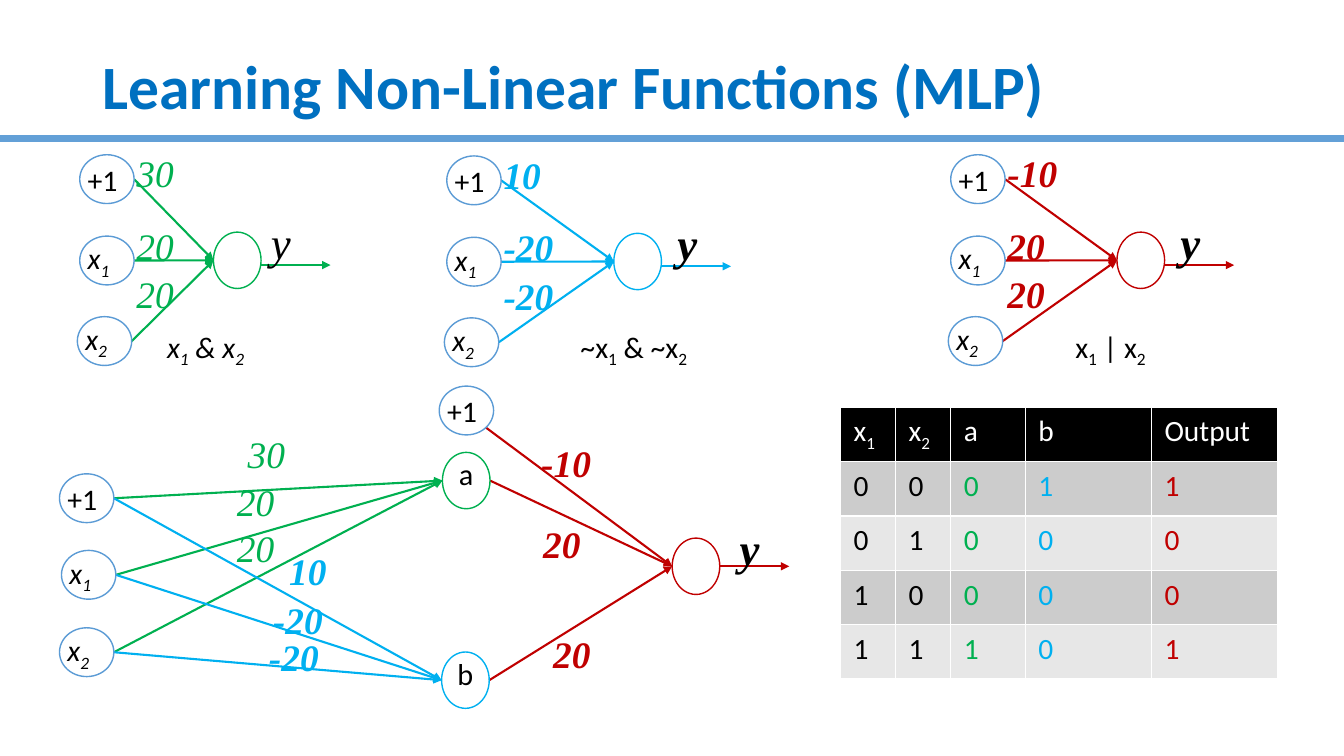
from dataclasses import dataclass
from typing import NamedTuple

from lxml.etree import SubElement
from pptx import Presentation
from pptx.dml.color import RGBColor
from pptx.enum.shapes import MSO_CONNECTOR, MSO_SHAPE
from pptx.enum.text import MSO_ANCHOR, MSO_AUTO_SIZE, PP_ALIGN
from pptx.oxml.ns import qn
from pptx.util import Cm, Pt

GREEN, BLUE, RED, BLACK = "00B050", "00B0F0", "C00000", "000000"
INPUT_LINE, RULE, WHITE = "5B9BD5", "63A0D7", "FFFFFF"
INPUT_LABELS = ("+1", "x_1", "x_2")


class Point(NamedTuple):
    x: float
    y: float


@dataclass
class Neuron:
    left: float
    top: float
    color: str = INPUT_LINE
    label: str = ""
    width: float = 1.2
    height: float = 1.42

    @property
    def entry(self) -> Point:
        return Point(self.left, self.top + self.height / 2)

    @property
    def exit(self) -> Point:
        return Point(self.left + self.width, self.top + self.height / 2)


@dataclass
class Input(Neuron):
    width: float = 1.37
    height: float = 1.23


@dataclass
class Gate:
    left: float
    top: float
    output_left: float
    color: str
    bold: bool
    weights: tuple[str, str, str]
    y_shift: float
    formula: str
    formula_left: float
    formula_italic: bool = False


class Weight(NamedTuple):
    value: str
    left: float
    top: float
    color: str
    bold: bool = True


GATES = (
    Gate(2.01, 3.9, 5.38, GREEN, False, ("30", "20", "20"), 1.2, "x_1 & x_2", 3.96, True),
    Gate(11.26, 3.93, 15.47, BLUE, True, ("10", "-20", "-20"), 1.35, "~x_1 & ~x_2", 14.38),
    Gate(23.96, 3.9, 28.15, RED, True, ("-10", "20", "20"), 1.35, "x_1 | x_2", 26.85),
)
NETWORK_WEIGHTS = (
    Weight("30", 5.99, 10.74, GREEN, False),
    Weight("20", 5.72, 11.94, GREEN, False),
    Weight("20", 5.72, 13.11, GREEN, False),
    Weight("10", 7.04, 13.69, BLUE),
    Weight("-20", 6.63, 14.91, BLUE),
    Weight("-20", 6.53, 15.85, BLUE),
    Weight("-10", 13.39, 10.97, RED),
    Weight("20", 13.44, 13, RED),
    Weight("20", 13.69, 15.77, RED),
)
TRUTH_TABLE = (
    ("x_1", "x_2", "a", "b", "Output"),
    ("0", "0", "0", "1", "1"),
    ("0", "1", "0", "0", "0"),
    ("1", "0", "0", "0", "0"),
    ("1", "1", "1", "0", "1"),
)
COLUMN_WIDTHS = (1.39, 1.39, 1.88, 3.18, 3.18)
COLUMN_COLORS = (BLACK, BLACK, GREEN, BLUE, RED)
ROW_HEIGHT = 1.37


def rgb(code: str) -> RGBColor:
    return RGBColor.from_string(code)


def write(paragraph, text: str, size: float, color: str = BLACK, font: str = "Calibri",
          bold: bool = False, italic: bool = False, baseline: int = 0) -> None:
    plain, *subscripted = text.split("_")
    pieces = [(plain, baseline)]
    for piece in subscripted:
        pieces += [(piece[0], -25000), (piece[1:], baseline)]
    for words, shift in pieces:
        if not words:
            continue
        run = paragraph.add_run()
        run.text = words
        run.font.name, run.font.size = font, Pt(size)
        run.font.bold, run.font.italic = bold, italic
        run.font.color.rgb = rgb(color)
        if shift:
            run._r.get_or_add_rPr().set("baseline", str(shift))


def draw_line(start: Point, end: Point, color: str, width: float = 1.5,
              arrow: bool = True) -> None:
    line = slide.shapes.add_connector(MSO_CONNECTOR.STRAIGHT, *map(Cm, (*start, *end)))
    line.line.color.rgb = rgb(color)
    line.line.width = Pt(width)
    if arrow:
        SubElement(line.line._get_or_add_ln(), qn("a:tailEnd"), type="triangle")
    SubElement(line._element.spPr, qn("a:effectLst"))


def draw_neuron(neuron: Neuron) -> None:
    oval = slide.shapes.add_shape(MSO_SHAPE.OVAL, Cm(neuron.left), Cm(neuron.top),
                                  Cm(neuron.width), Cm(neuron.height))
    oval.shadow.inherit = False
    oval.line.color.rgb = rgb(neuron.color)
    oval.line.width = Pt(1)
    is_input = isinstance(neuron, Input)
    if is_input:
        oval.fill.solid()
        oval.fill.fore_color.rgb = rgb(WHITE)
    else:
        oval.fill.background()
    if not neuron.label:
        return
    frame = oval.text_frame
    frame.vertical_anchor = MSO_ANCHOR.MIDDLE
    frame.margin_left = frame.margin_right = 0
    frame.margin_top = frame.margin_bottom = Cm(0.13)
    paragraph = frame.paragraphs[0]
    if is_input:
        paragraph.alignment = PP_ALIGN.LEFT
        write(paragraph, neuron.label, 21.3, italic="_" in neuron.label)
    else:
        paragraph.alignment = PP_ALIGN.CENTER
        write(paragraph, neuron.label, 37.3, baseline=30000)


def draw_label(text: str, left: float, top: float, width: float, height: float,
               size: float, **style) -> None:
    box = slide.shapes.add_textbox(Cm(left), Cm(top), Cm(width), Cm(height))
    box.text_frame.word_wrap = False
    box.text_frame.auto_size = MSO_AUTO_SIZE.SHAPE_TO_FIT_TEXT
    write(box.text_frame.paragraphs[0], text, size, **style)


def draw_weight(weight: Weight) -> None:
    width = 1.47 if len(weight.value) == 2 else 1.78
    draw_label(weight.value, weight.left, weight.top, width, 1.4, 26.7, color=weight.color,
               font="Times New Roman", bold=weight.bold, italic=True)


def draw_output(output: Neuron, y_shift: float, bold: bool, drop: float = 0) -> None:
    draw_neuron(output)
    start = Point(output.exit.x, output.exit.y + drop)
    draw_line(start, Point(start.x + 1.75, start.y), output.color)
    draw_label("y", output.left + y_shift, output.top - 0.57, 1.02, 1.63, 32,
               font="Times New Roman", bold=bold, italic=True)


def draw_gate(gate: Gate) -> None:
    output = Neuron(gate.output_left, gate.top + 1.95, gate.color)
    shifts = ((0, 0), (0, 2.05), (-0.06, 4.08))
    for label, (dx, dy) in zip(INPUT_LABELS, shifts):
        source = Input(gate.left + dx, gate.top + dy, label=label)
        draw_line(source.exit, output.entry, gate.color)
        draw_neuron(source)
    for value, dy in zip(gate.weights, (-0.23, 1.6, 2.82)):
        draw_weight(Weight(value, gate.left + 1.18, gate.top + dy, gate.color, gate.bold))
    draw_output(output, gate.y_shift, gate.bold, 0.12)
    draw_label(gate.formula, gate.formula_left, 8.15, 3.38, 1.09, 21.3,
               italic=gate.formula_italic)


def draw_network() -> None:
    corners = ((1.5, 11.94), (1.55, 13.87), (1.5, 15.82))
    inputs = [Input(*corner, label=label) for corner, label in zip(corners, INPUT_LABELS)]
    hidden = [Neuron(11.15, 11.4, GREEN, "a"), Neuron(11.13, 16.43, BLUE, "b")]
    hidden_bias = Input(11.07, 9.73, label="+1")
    output = Neuron(16.94, 13.56, RED)
    for unit in hidden:
        for source in inputs:
            draw_line(source.exit, unit.entry, unit.color)
        draw_line(unit.exit, output.entry, RED)
    draw_line(Point(12.24, 10.77), output.entry, RED)
    for neuron in (*inputs, *hidden, hidden_bias):
        draw_neuron(neuron)
    for weight in NETWORK_WEIGHTS:
        draw_weight(weight)
    draw_output(output, 1.45, True)


def draw_truth_table() -> None:
    table = slide.shapes.add_table(len(TRUTH_TABLE), len(COLUMN_WIDTHS), Cm(21.18), Cm(10.26),
                                   Cm(sum(COLUMN_WIDTHS)), Cm(ROW_HEIGHT * 5)).table
    for column, width in zip(table.columns, COLUMN_WIDTHS):
        column.width = Cm(width)
    for r, values in enumerate(TRUTH_TABLE):
        table.rows[r].height = Cm(ROW_HEIGHT)
        fill = BLACK if r == 0 else ("E7E7E7", "CCCCCC")[r % 2]
        for c, value in enumerate(values):
            cell = table.cell(r, c)
            cell.fill.solid()
            cell.fill.fore_color.rgb = rgb(fill)
            cell.margin_left = cell.margin_right = Cm(0.33)
            cell.margin_top = cell.margin_bottom = Cm(0.17)
            write(cell.text_frame.paragraphs[0], value, 21, WHITE if r == 0 else COLUMN_COLORS[c])


presentation = Presentation()
presentation.slide_width, presentation.slide_height = Cm(33.87), Cm(19.05)
slide = presentation.slides.add_slide(presentation.slide_layouts[5])

draw_line(Point(33.87, 3.5), Point(0, 3.5), RULE, 5, arrow=False)
title = slide.shapes.title
title.left, title.top, title.width, title.height = Cm(2.33), Cm(1.02), Cm(29.21), Cm(2.49)
title.text_frame.vertical_anchor = MSO_ANCHOR.MIDDLE
heading = title.text_frame.paragraphs[0]
heading.alignment = PP_ALIGN.LEFT
heading.line_spacing = 0.9
write(heading, "Learning Non-Linear Functions (MLP)", 44, "0070C0", bold=True)

for gate in GATES:
    draw_gate(gate)
draw_network()
draw_truth_table()
presentation.save("out.pptx")
